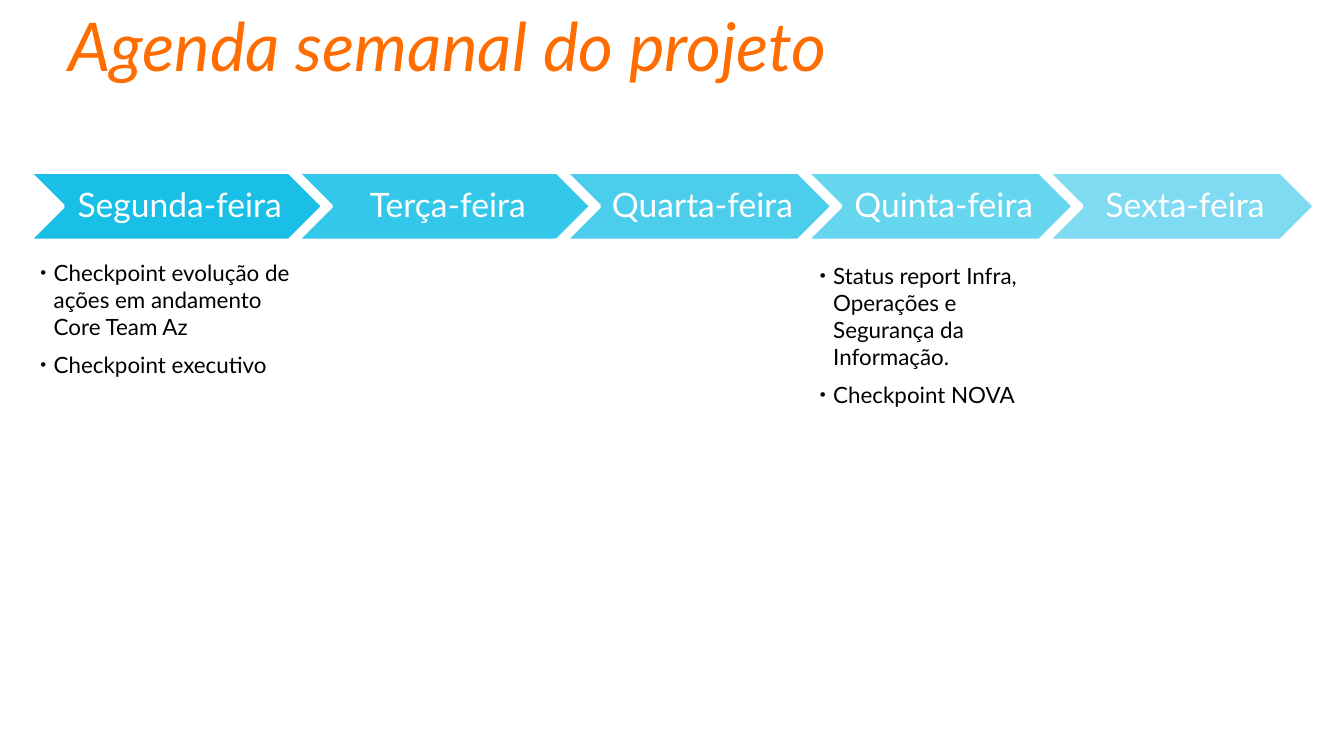
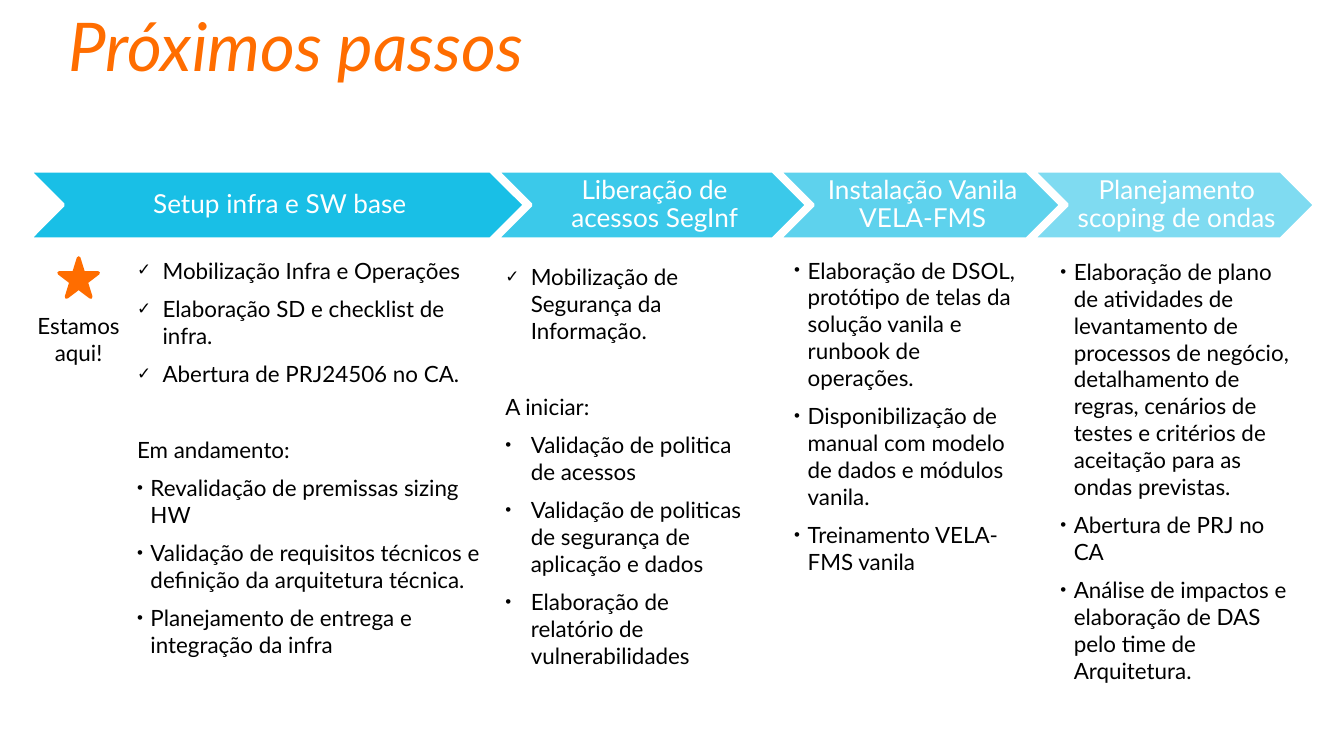
from lxml import etree
from pptx import Presentation
from pptx import util as u
from pptx.dml.color import RGBColor
from pptx.enum import shapes, text
from pptx.oxml.ns import qn

COLORS = {"title": "FF6D00", "band": "00B9E4", "body": "000000", "white": "FFFFFF"}
FONT, BULLET_FONT = "Lato", "Arial"
GRID = 0.1
TITLE_BOX = (5.1, 3, 89.8, 7.8)
BAND_LEFT, BAND_HEIGHT = 2.15, 5.1
BULLETS = {"dot": ("•", 0.1), "wide": ("•", 0.19), "check": ("✓", 0.19)}

AGENDA = {
    "title": "Agenda semanal do projeto",
    "band": {"top": 12.8, "overlap": 1.95, "size": 18, "steps": [
        ("Segunda-feira", 21.9), ("Terça-feira", 21.9), ("Quarta-feira", 19.9),
        ("Quinta-feira", 19.9), ("Sexta-feira", 19.9)]},
    "columns": [
        ((3, 19.3, 18.7, 20.5), [
            ("dot", "Checkpoint evolução de ações em andamento Core Team Az"),
            ("dot", "Checkpoint executivo")]),
        ((61, 19.5, 17.4, 20.3), [
            ("dot", "Status report Infra, Operações e Segurança da Informação."),
            ("dot", "Checkpoint NOVA")]),
    ],
}

NEXT_STEPS = {
    "title": "Próximos passos",
    "band": {"top": 12.7, "overlap": 2.1, "size": 14, "steps": [
        ("Setup infra e SW base", 36.9), ("Liberação de acessos SegInf", 23.1),
        ("Instalação Vanila VELA-FMS", 21), ("Planejamento scoping de ondas", 21)]},
    "columns": [
        ((10.2, 19.1, 26.3, 37.1), [
            ("check", "Mobilização Infra e Operações"),
            ("check", "Elaboração SD e checklist de infra."),
            ("check", "Abertura de PRJ24506 no CA."),
            ("head", "Em andamento:"),
            ("dot", "Revalidação de premissas sizing HW"),
            ("dot", "Validação de requisitos técnicos e definição da arquitetura técnica."),
            ("dot", "Planejamento de entrega e integração da infra")]),
        ((37.6, 19.6, 18.7, 28.9), [
            ("check", "Mobilização de Segurança da Informação."),
            ("head", "A iniciar:"),
            ("wide", "Validação de politica de acessos"),
            ("wide", "Validação de politicas de segurança de aplicação e dados"),
            ("wide", "Elaboração de relatório de vulnerabilidades")]),
        ((59.1, 19.1, 17.4, 28.9), [
            ("dot", "Elaboração de DSOL, protótipo de telas da solução vanila e "
                    "runbook de operações."),
            ("dot", "Disponibilização de manual com modelo de dados e módulos vanila."),
            ("dot", "Treinamento VELA-FMS vanila")]),
        ((78.9, 19.2, 17.4, 28.9), [
            ("dot", "Elaboração de plano de atividades de levantamento de processos de "
                    "negócio, detalhamento de regras, cenários de testes e critérios de "
                    "aceitação para as ondas previstas."),
            ("dot", "Abertura de PRJ no CA"),
            ("dot", "Análise de impactos e elaboração de DAS pelo time de Arquitetura.")]),
    ],
}


def grid(*units):
    """Turn grid units into slide lengths."""
    return [u.Inches(n * GRID) for n in units]


def apply(obj, **values):
    """Set each named attribute on an object."""
    for name, value in values.items():
        setattr(obj, name, value)


def write(p, words, size, color, italic=False, **layout):
    """Put one formatted run in a paragraph."""
    apply(p, **layout)
    r = p.add_run()
    r.text = words
    apply(r.font, name=FONT, size=u.Pt(size), italic=italic)
    r.font.color.rgb = RGBColor.from_string(COLORS[color])


def frame(shape, left=0, other=0, anchor=text.MSO_ANCHOR.TOP):
    """Set the insets, in points, and the anchor of a text frame."""
    tf = shape.text_frame
    apply(tf, word_wrap=True, auto_size=text.MSO_AUTO_SIZE.NONE, vertical_anchor=anchor,
          margin_left=u.Pt(left), margin_top=u.Pt(other),
          margin_right=u.Pt(other), margin_bottom=u.Pt(other))
    return tf


def add_bullet(p, kind):
    """Give a paragraph a bullet with a hanging indent."""
    char, indent = BULLETS[kind]
    pPr = p._p.get_or_add_pPr()
    pPr.set("marL", str(u.Inches(indent)))
    pPr.set("indent", str(-u.Inches(indent)))
    color = etree.SubElement(pPr, qn("a:buClr"))
    etree.SubElement(color, qn("a:srgbClr"), val=COLORS["body"])
    etree.SubElement(pPr, qn("a:buSzPct"), val="75000")
    etree.SubElement(pPr, qn("a:buFont"), typeface=BULLET_FONT)
    etree.SubElement(pPr, qn("a:buChar"), char=char)


def add_figure(s, kind, box, fill, line):
    """Draw a filled preset shape with a two-point outline."""
    sp = s.shapes.add_shape(kind, *grid(*box))
    sp.shadow.inherit = False
    sp.fill.solid()
    sp.fill.fore_color.rgb = RGBColor.from_string(COLORS[fill])
    sp.line.color.rgb = RGBColor.from_string(COLORS[line])
    sp.line.width = u.Pt(2)
    return sp


def add_title(s, words):
    """Move and format the title placeholder."""
    sp = s.shapes.title
    apply(sp, **dict(zip(("left", "top", "width", "height"), grid(*TITLE_BOX))))
    write(frame(sp).paragraphs[0], words, 36, "title", italic=True,
          alignment=text.PP_ALIGN.LEFT, line_spacing=u.Pt(24), space_before=u.Pt(11))


def add_band(s, top, overlap, size, steps):
    """Draw overlapping chevrons that fade from left to right."""
    left = BAND_LEFT
    for i, (label, width) in enumerate(steps):
        sp = add_figure(s, shapes.MSO_SHAPE.CHEVRON, (left, top, width, BAND_HEIGHT),
                        "band", "white")
        alpha = 90 - 40 * i / (len(steps) - 1)
        color = sp._element.spPr.find(qn("a:solidFill"))[0]
        etree.SubElement(color, qn("a:alpha"), val=str(round(alpha) * 1000))
        tf = frame(sp, size / 3, size / 9, text.MSO_ANCHOR.MIDDLE)
        write(tf.paragraphs[0], label, size, "white",
              alignment=text.PP_ALIGN.CENTER, line_spacing=0.9)
        left += width - overlap


def add_column(s, box, items):
    """Write a list of bullets and headings in a box."""
    tf = frame(s.shapes.add_textbox(*grid(*box)))
    for i, (kind, words) in enumerate(items):
        p = tf.add_paragraph() if i else tf.paragraphs[0]
        write(p, words, 12, "body", space_after=u.Pt(6))
        if kind in BULLETS:
            add_bullet(p, kind)
        else:
            p.space_before = u.Pt(20.4)


def add_marker(s, box):
    """Place the star above its centred caption."""
    left, top, width, height = box
    star = 2.9
    add_figure(s, shapes.MSO_SHAPE.STAR_5_POINT,
               (left + (width - star) / 2, top, star, star), "title", "title")
    caption = s.shapes.add_textbox(*grid(left, top + 3.6, width, height - 3.6))
    write(frame(caption, 3, 3).paragraphs[0], "Estamos aqui!", 12, "body",
          alignment=text.PP_ALIGN.CENTER)


def add_slide(prs, content):
    """Build a slide with a title, a chevron band and text columns."""
    s = prs.slides.add_slide(prs.slide_layouts[5])
    add_title(s, content["title"])
    add_band(s, **content["band"])
    for box, items in content["columns"]:
        add_column(s, box, items)
    return s


def main():
    """Build and save the presentation."""
    prs = Presentation()
    apply(prs, slide_width=u.Inches(10), slide_height=u.Inches(10 * 9 / 16))
    add_slide(prs, AGENDA)
    add_marker(add_slide(prs, NEXT_STEPS), (1.5, 19.2, 8.7, 8.4))
    prs.save("out.pptx")


if __name__ == "__main__":
    main()
